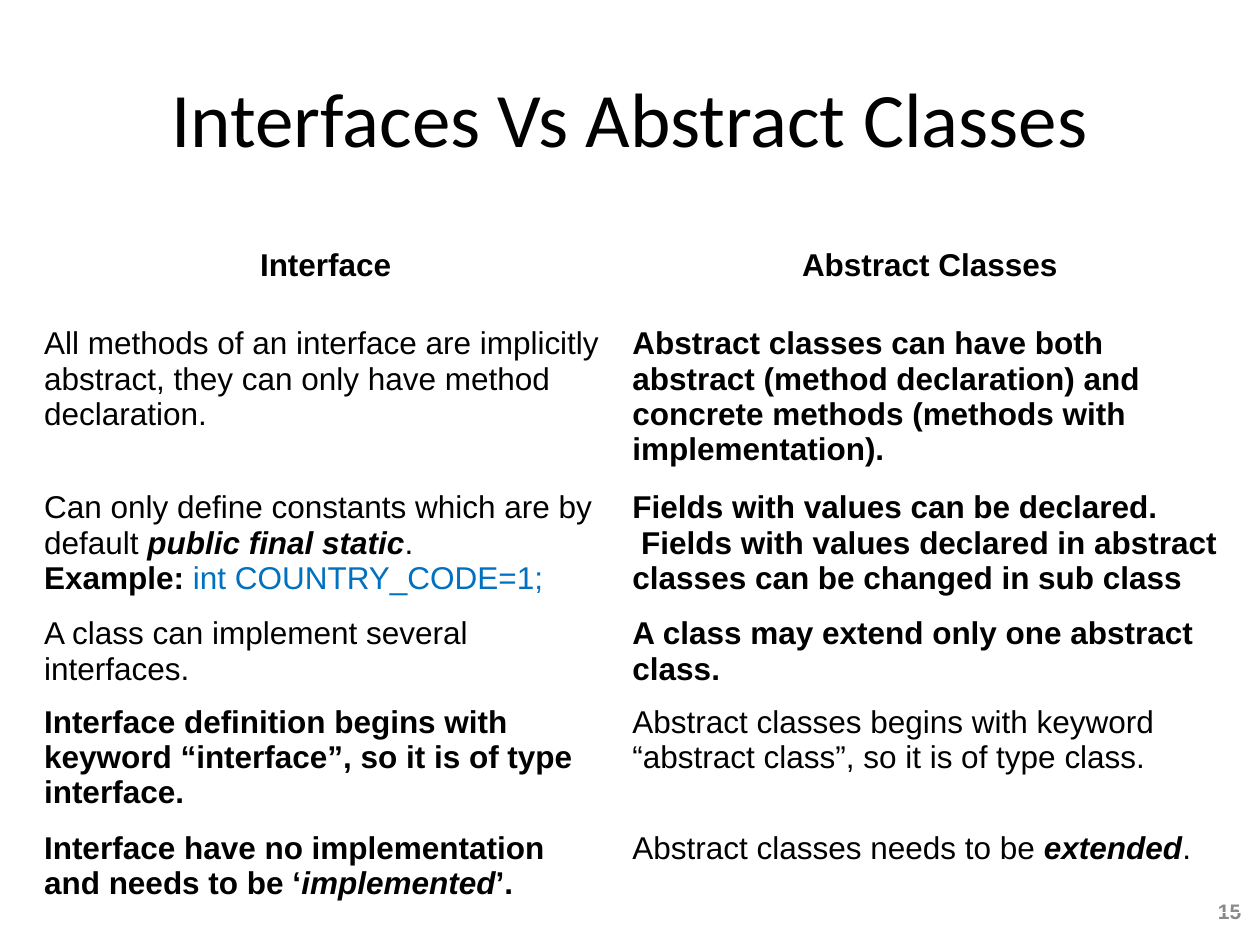
from dataclasses import dataclass

from pptx import Presentation
from pptx.dml.color import RGBColor
from pptx.enum.text import MSO_ANCHOR, PP_ALIGN
from pptx.util import Inches, Pt


@dataclass(frozen=True)
class Theme:
    heading_font: str = "Calibri"
    body_font: str = "Arial"
    title_size: int = 44
    body_size: int = 18
    number_size: int = 12
    ink: str = "000000"
    code: str = "0070C0"
    muted: str = "898989"


THEME = Theme()

# A cell is a list of paragraphs, a paragraph a list of (text, style) pieces.
# Styles: "" regular, b bold, i italic, c code colour.
COMPARISON = [
    ([[("Interface", "b")]],
     [[("Abstract Classes", "b")]]),
    ([[("All methods of an interface are implicitly abstract, "
        "they can only have method declaration.", "")]],
     [[("Abstract classes can have both abstract (method declaration) and "
        "concrete methods (methods with implementation).", "b")]]),
    ([[("Can only define constants which are by default ", ""),
       ("public final static", "bi"), (".", "")],
      [("Example: ", "b"), ("int COUNTRY_CODE=1;", "c")]],
     [[("Fields with values can be declared.", "b")],
      [(" Fields with values declared in abstract classes "
        "can be changed in sub class", "b")]]),
    ([[("A class can implement several interfaces.", "")]],
     [[("A class may extend only one abstract class.", "b")]]),
    ([[("Interface definition begins with keyword “interface”, "
        "so it is of type interface.", "b")]],
     [[("Abstract classes begins with keyword “abstract class”, "
        "so it is of type class.", "")]]),
    ([[("Interface have no implementation and needs to be ‘", "b"),
       ("implemented", "bi"), ("’.", "b")]],
     [[("Abstract classes needs to be ", ""),
       ("extended", "bi"), (".", "")]]),
]
COLUMN_WIDTHS = [4.67, 4.92]
ROW_HEIGHTS = [0.62, 1.3, 1, 0.7, 1, 0.7]


def style_run(run, font, size, color, bold=False, italic=False):
    run.font.name = font
    run.font.size = Pt(size)
    run.font.color.rgb = RGBColor.from_string(color)
    run.font.bold = bold
    run.font.italic = italic


prs = Presentation()
prs.slide_width, prs.slide_height = Inches(10), Inches(7.5)
W, H = prs.slide_width, prs.slide_height
slide = prs.slides.add_slide(prs.slide_layouts[5])

# Title
title = slide.shapes.title
title.left, title.top = int(W * 0.05), int(H * 0.04)
title.width, title.height = int(W * 0.9), Inches(1.25)
title.text_frame.text = "Interfaces Vs Abstract Classes"
title.text_frame.vertical_anchor = MSO_ANCHOR.MIDDLE
heading = title.text_frame.paragraphs[0]
heading.alignment = PP_ALIGN.CENTER
style_run(heading.runs[0], THEME.heading_font, THEME.title_size, THEME.ink)

# Slide number
page_number = slide.shapes.add_textbox(
    Inches(9.46), Inches(7.06), Inches(0.49), Inches(0.35)).text_frame
page_number.word_wrap = True
page_number.vertical_anchor = MSO_ANCHOR.MIDDLE
page_number.text = "15"
page_number.paragraphs[0].alignment = PP_ALIGN.RIGHT
style_run(page_number.paragraphs[0].runs[0], THEME.body_font,
          THEME.number_size, THEME.muted, bold=True)

# Comparison table
table = slide.shapes.add_table(
    len(ROW_HEIGHTS), len(COLUMN_WIDTHS), int(W * 0.025), Inches(1.92),
    Inches(sum(COLUMN_WIDTHS)), Inches(sum(ROW_HEIGHTS))).table
table.first_row = table.horz_banding = False
for column, width in zip(table.columns, COLUMN_WIDTHS):
    column.width = Inches(width)
for row, height in zip(table.rows, ROW_HEIGHTS):
    row.height = Inches(height)

for row_index, (row, contents) in enumerate(zip(table.rows, COMPARISON)):
    for cell, paragraphs in zip(row.cells, contents):
        cell.fill.background()
        frame = cell.text_frame
        for index, pieces in enumerate(paragraphs):
            paragraph = frame.add_paragraph() if index else frame.paragraphs[0]
            paragraph.alignment = PP_ALIGN.LEFT if row_index else PP_ALIGN.CENTER
            for text, style in pieces:
                run = paragraph.add_run()
                run.text = text
                style_run(run, THEME.body_font, THEME.body_size,
                          THEME.code if "c" in style else THEME.ink,
                          bold="b" in style, italic="i" in style)

prs.save("out.pptx")
